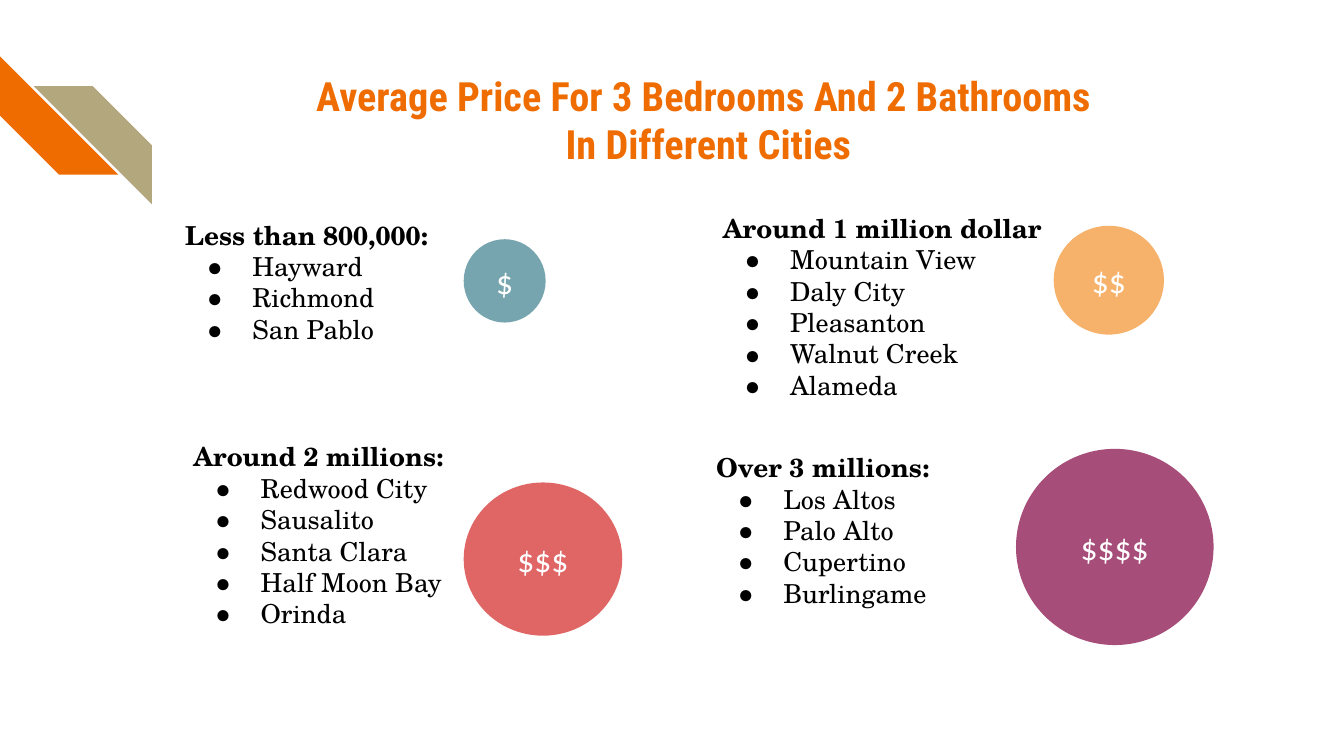
from lxml import etree
from pptx import Presentation
from pptx.dml.color import RGBColor
from pptx.enum.shapes import MSO_SHAPE
from pptx.enum.text import MSO_ANCHOR, MSO_AUTO_SIZE, PP_ALIGN
from pptx.oxml.ns import qn
from pptx.util import Inches, Pt

STRIPE, OVAL = MSO_SHAPE.DIAGONAL_STRIPE, MSO_SHAPE.OVAL
TOP, MIDDLE = MSO_ANCHOR.TOP, MSO_ANCHOR.MIDDLE
CENTER = PP_ALIGN.CENTER
NO_FIT = MSO_AUTO_SIZE.NONE

SERIF = "TeX Gyre Schola"
ORANGE = RGBColor(0xEF, 0x6C, 0x00)
KHAKI = RGBColor(0xB3, 0xA7, 0x7D)
TEAL = RGBColor(0x76, 0xA5, 0xAF)
AMBER = RGBColor(0xF6, 0xB2, 0x6B)
CORAL = RGBColor(0xE0, 0x66, 0x66)
PLUM = RGBColor(0xA6, 0x4D, 0x79)
BLACK = RGBColor(0, 0, 0)
WHITE = RGBColor(0xFF, 0xFF, 0xFF)

# Heading, cities, list box, disc box, disc colour; the sign count is the rank
GROUPS = [
    ("Less than 800,000:", ["Hayward", "Richmond", "San Pablo"],
     (1.28, 1.53, 3.11, 1.14), (3.45, 1.78, 0.61, 0.62), TEAL),
    ("Around 1 million dollar",
     ["Mountain View", "Daly City", "Pleasanton", "Walnut Creek", "Alameda"],
     (5.28, 1.48, 3.15, 1.62), (7.84, 1.68, 0.82, 0.81), AMBER),
    ("Around 2 millions:",
     ["Redwood City", "Sausalito", "Santa Clara", "Half Moon Bay", "Orinda"],
     (1.34, 3.18, 2.79, 1.62), (3.45, 3.59, 1.18, 1.14), CORAL),
    ("Over 3 millions:",
     ["Los Altos", "Palo Alto", "Cupertino", "Burlingame"],
     (5.23, 3.26, 2.79, 1.46), (7.56, 3.34, 1.47, 1.46), PLUM),
]


def inches(box):
    return [Inches(v) for v in box]


def set_frame(frame, anchor, pad):
    frame.word_wrap = True
    frame.auto_size = NO_FIT
    frame.vertical_anchor = anchor
    frame.margin_left = frame.margin_right = Inches(0.1)
    frame.margin_top = frame.margin_bottom = Inches(pad)


def set_font(para, name, size, color, bold=False):
    font = para.font
    font.name, font.size, font.bold = name, Pt(size), bold
    font.color.rgb = color


def add_bullet(para):
    props = para._p.get_or_add_pPr()
    props.set("marL", str(Inches(0.5)))
    props.set("indent", str(Inches(-0.35)))
    etree.SubElement(props, qn("a:buFont")).set("typeface", SERIF)
    etree.SubElement(props, qn("a:buChar")).set("char", "●")


def add_solid(slide, kind, box, color):
    shape = slide.shapes.add_shape(kind, *inches(box))
    shape.shadow.inherit = False
    shape.fill.solid()
    shape.fill.fore_color.rgb = color
    shape.line.fill.background()
    return shape


def add_corner(slide, left, top):
    """Two mirrored stripes, the second one set off to the lower right."""
    size = 0.88
    for dx, dy, turn, color in [(0, 0, 270, ORANGE), (0.25, 0.22, 90, KHAKI)]:
        box = (left + dx, top + dy, size, size)
        add_solid(slide, STRIPE, box, color).rotation = turn


def add_title(slide, box):
    title = slide.shapes.title
    title.left, title.top, title.width, title.height = inches(box)
    frame = title.text_frame
    set_frame(frame, TOP, 0.1)
    frame.text = "Average Price For 3 Bedrooms And 2 Bathrooms \nIn Different Cities"
    for para in frame.paragraphs:
        para.alignment = CENTER
        set_font(para, "Roboto Condensed", 21.6, ORANGE, True)


def add_list(slide, box, heading, cities):
    frame = slide.shapes.add_textbox(*inches(box)).text_frame
    set_frame(frame, TOP, 0.1)
    frame.text = "\n".join([heading, *cities])
    for i, para in enumerate(frame.paragraphs):
        if i:
            add_bullet(para)
        set_font(para, SERIF, 14, BLACK, i == 0)


def add_disc(slide, box, color, label):
    frame = add_solid(slide, OVAL, box, color).text_frame
    set_frame(frame, MIDDLE, 0.05)
    para = frame.paragraphs[0]
    para.text = label
    para.alignment = CENTER
    set_font(para, "Calibri", 18, WHITE)


def main():
    deck = Presentation()
    # Widescreen, 16 to 9
    deck.slide_width = Inches(10)
    deck.slide_height = deck.slide_width * 9 // 16
    slide = deck.slides.add_slide(deck.slide_layouts[5])

    add_corner(slide, 0, 0.42)
    add_title(slide, (1.42, 0.43, 7.7, 0.87))

    # Price groups, cheapest first
    for rank, (heading, cities, area, disc, color) in enumerate(GROUPS, 1):
        add_list(slide, area, heading, cities)
        add_disc(slide, disc, color, "$" * rank)

    deck.save("out.pptx")


if __name__ == "__main__":
    main()
